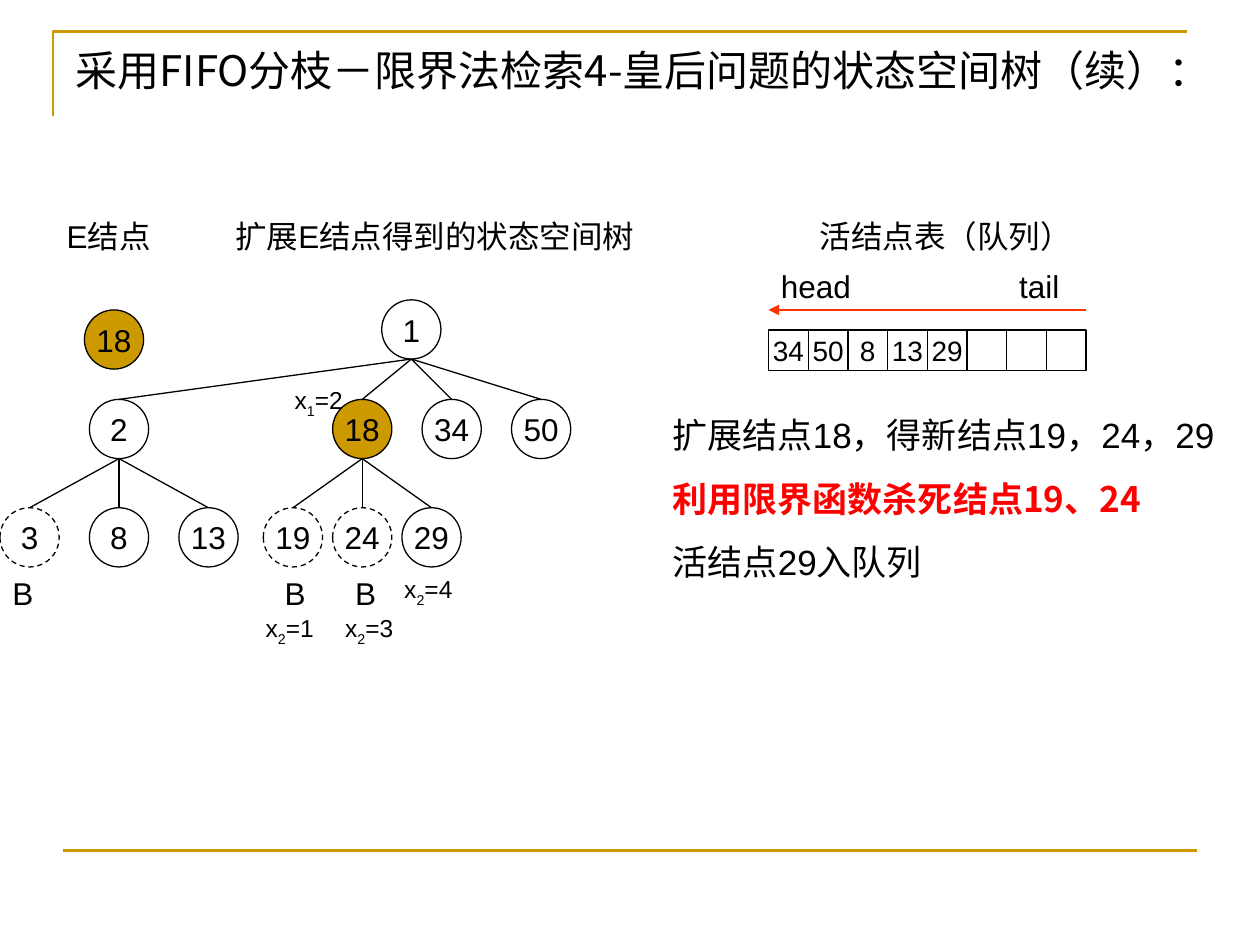
import lxml.etree
import pptx
import pptx.dml.color
import pptx.enum.dml
import pptx.enum.shapes
import pptx.enum.text
import pptx.oxml.ns
import pptx.util

Inches = pptx.util.Inches
Pt = pptx.util.Pt
RGBColor = pptx.dml.color.RGBColor
SHAPE = pptx.enum.shapes.MSO_SHAPE
ANCHOR = pptx.enum.text.MSO_ANCHOR
ALIGN = pptx.enum.text.PP_ALIGN
AUTO_SIZE = pptx.enum.text.MSO_AUTO_SIZE

GOLD = RGBColor(0xCC, 0x99, 0x00)
BLACK = RGBColor(0, 0, 0)
RED = RGBColor(0xFF, 0, 0)
ARROW_RED = RGBColor(0xFF, 0x33, 0)

LATIN_FONT = "Arial"
CJK_FONT = "Noto Sans CJK SC"

NODE_SIZE = 0.47
LEVEL_TOPS = (2.38, 3.17, 4.03)
# name: (level, left, is killed by the bounding function, parent)
TREE = {
    "1": (0, 3.03, False, None),
    "2": (1, 0.71, False, "1"),
    "18": (1, 2.64, False, "1"),
    "34": (1, 3.35, False, "1"),
    "50": (1, 4.06, False, "1"),
    "3": (2, 0, True, "2"),
    "8": (2, 0.71, False, "2"),
    "13": (2, 1.42, False, "2"),
    "19": (2, 2.09, True, "18"),
    "24": (2, 2.64, True, "18"),
    "29": (2, 3.19, False, "18"),
}
E_NODE = "18"

QUEUE = ("34", "50", "8", "13", "29", "", "", "")
QUEUE_LEFT, QUEUE_TOP, QUEUE_WIDTH, QUEUE_HEIGHT = 6.1, 2.62, 2.52, 0.32

# text, left, top, width, height
HEADINGS = (
    ("E结点", 0.43, 1.67, 1.1, 0.4),
    ("扩展E结点得到的状态空间树", 1.77, 1.67, 3.47, 0.7),
    ("活结点表（队列）", 6.41, 1.67, 2.2, 0.4),
    ("head", 6.1, 2.07, 0.94, 0.4),
    ("tail", 7.99, 2.07, 0.94, 0.4),
    ("B", 0, 4.51, 0.71, 0.4),
    ("B", 2.16, 4.51, 0.71, 0.4),
    ("B", 2.72, 4.51, 0.71, 0.4),
)
# subscript, value, left, top
CHOICES = (
    ("1", "2", 2.24, 3.01),
    ("2", "1", 2.01, 4.82),
    ("2", "3", 2.64, 4.82),
    ("2", "4", 3.11, 4.51),
)
STEPS = (
    ("扩展结点18，得新结点19，24，29", LATIN_FONT, BLACK, False),
    ("利用限界函数杀死结点19、24", CJK_FONT, RED, True),
    ("活结点29入队列", LATIN_FONT, BLACK, False),
)


def format_runs(paragraph, size, font=LATIN_FONT, color=BLACK, bold=False):
    for run in paragraph.runs:
        run.font.size = Pt(size)
        run.font.name = font
        run.font.color.rgb = color
        run.font.bold = bold


def add_title(slide, text):
    title = slide.shapes.title
    title.left, title.top = Inches(0.5), Inches(0.3)
    title.width, title.height = Inches(9.3), Inches(0.61)
    frame = title.text_frame
    frame.text = text
    frame.vertical_anchor = ANCHOR.TOP
    frame.auto_size = AUTO_SIZE.NONE
    frame.paragraphs[0].alignment = ALIGN.LEFT
    format_runs(frame.paragraphs[0], 24, CJK_FONT)


def add_line(slide, start, end, color=BLACK, width=0.75):
    line = slide.shapes.add_connector(
        pptx.enum.shapes.MSO_CONNECTOR.STRAIGHT, *map(Inches, start + end))
    line.line.color.rgb = color
    line.line.width = Pt(width)
    lxml.etree.SubElement(line._element.spPr, pptx.oxml.ns.qn("a:effectLst"))
    return line


def add_frame_lines(slide):
    builder = slide.shapes.build_freeform(Inches(0.42), Inches(0.92))
    builder.add_line_segments(
        [(Inches(0.42), Inches(0.25)), (Inches(9.42), Inches(0.25))], close=False)
    corner = builder.convert_to_shape()
    corner.shadow.inherit = False
    corner.fill.background()
    corner.line.color.rgb = GOLD
    corner.line.width = Pt(1.5)
    add_line(slide, (0.5, 6.75), (9.5, 6.75), GOLD, 1.5)


def add_outlined_shape(slide, kind, text, left, top, width, height, size):
    """Add an unfilled, black-edged shape with centred text."""
    shape = slide.shapes.add_shape(kind, *map(Inches, (left, top, width, height)))
    shape.shadow.inherit = False
    shape.fill.background()
    shape.line.color.rgb = BLACK
    shape.line.width = Pt(0.75)
    if text:
        frame = shape.text_frame
        frame.text = text
        frame.word_wrap = False
        frame.vertical_anchor = ANCHOR.MIDDLE
        frame.paragraphs[0].alignment = ALIGN.CENTER
        format_runs(frame.paragraphs[0], size)
    return shape


def add_node(slide, name, left, top, killed=False):
    node = add_outlined_shape(
        slide, SHAPE.OVAL, name, left, top, NODE_SIZE, NODE_SIZE, 18)
    if name == E_NODE:
        node.fill.solid()
        node.fill.fore_color.rgb = GOLD
    if killed:
        node.line.dash_style = pptx.enum.dml.MSO_LINE.DASH
    return node


def add_tree(slide):
    for name, (level, left, killed, parent) in TREE.items():
        top = LEVEL_TOPS[level]
        node = add_node(slide, name, left, top, killed)
        if parent:
            parent_level, parent_left = TREE[parent][:2]
            parent_bottom = (parent_left + NODE_SIZE / 2,
                             LEVEL_TOPS[parent_level] + NODE_SIZE)
            edge = add_line(slide, parent_bottom, (left + NODE_SIZE / 2, top))
            edge.end_connect(node, 0)


def add_queue(slide):
    cell_width = QUEUE_WIDTH / len(QUEUE)
    for index, name in enumerate(QUEUE):
        add_outlined_shape(slide, SHAPE.RECTANGLE, name,
                           QUEUE_LEFT + index * cell_width, QUEUE_TOP,
                           cell_width, QUEUE_HEIGHT, 16)
    arrow = add_line(slide, (QUEUE_LEFT + QUEUE_WIDTH, 2.46), (QUEUE_LEFT, 2.46),
                     ARROW_RED)
    lxml.etree.SubElement(arrow.line._get_or_add_ln(),
                          pptx.oxml.ns.qn("a:tailEnd"), type="triangle")


def add_text_frame(slide, left, top, width, height):
    box = slide.shapes.add_textbox(*map(Inches, (left, top, width, height)))
    box.text_frame.word_wrap = True
    box.text_frame.auto_size = AUTO_SIZE.SHAPE_TO_FIT_TEXT
    return box.text_frame


def add_heading(slide, text, *place):
    paragraph = add_text_frame(slide, *place).paragraphs[0]
    paragraph.text = text
    paragraph.space_before = Pt(11.2)
    format_runs(paragraph, 18)


def add_choice(slide, subscript, value, left, top):
    """Label a tree edge with the column chosen for a queen."""
    paragraph = add_text_frame(slide, left, top, 0.79, 0.37).paragraphs[0]
    paragraph.space_before = Pt(8.8)
    for part in ("x", subscript, f"={value}"):
        paragraph.add_run().text = part
    format_runs(paragraph, 14)
    paragraph.runs[1].font._element.set("baseline", "-25000")


def add_steps(slide):
    frame = add_text_frame(slide, 5.24, 3.23, 4.57, 1.78)
    frame.text = "\n".join(step[0] for step in STEPS)
    for paragraph, (_, font, color, bold) in zip(frame.paragraphs, STEPS):
        paragraph.space_before = Pt(12.5)
        format_runs(paragraph, 20, font, color, bold)


def main():
    presentation = pptx.Presentation()
    presentation.slide_width, presentation.slide_height = Inches(10), Inches(7.5)
    slide = presentation.slides.add_slide(presentation.slide_layouts[5])
    add_frame_lines(slide)
    add_title(slide, "采用FIFO分枝－限界法检索4-皇后问题的状态空间树（续）：")
    add_node(slide, E_NODE, 0.67, 2.46)
    add_tree(slide)
    add_queue(slide)
    for heading in HEADINGS:
        add_heading(slide, *heading)
    for choice in CHOICES:
        add_choice(slide, *choice)
    add_steps(slide)
    presentation.save("out.pptx")


if __name__ == "__main__":
    main()
